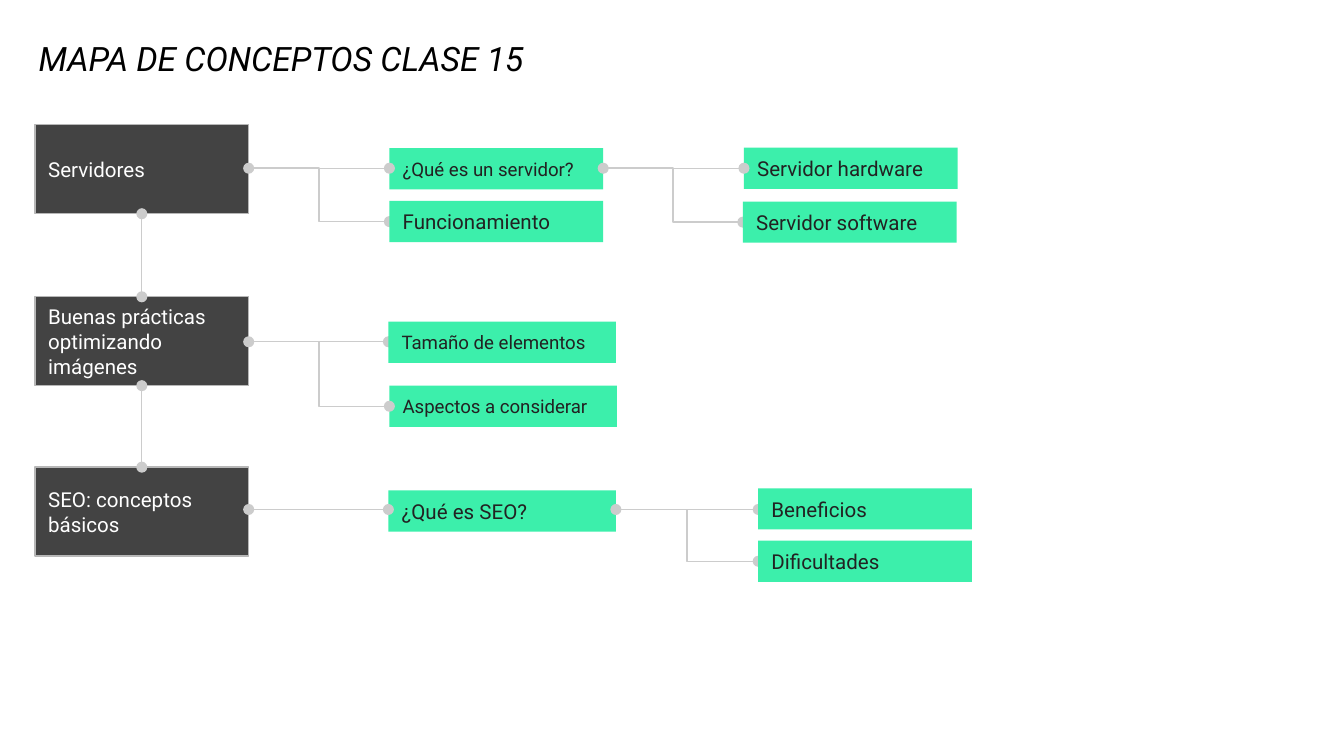
import pptx
import pptx.util
import pptx.dml.color
import pptx.enum.shapes
import pptx.enum.text
import pptx.oxml
import pptx.oxml.ns
from pptx.util import Cm

# Content
TITLE = "MAPA DE CONCEPTOS CLASE 15"
# Topics: text, top, height of the link axis (cm)
TOPICS = [
    ("Servidores", 2.36, 3.18),
    ("Buenas prácticas optimizando imágenes", 5.61, 6.46),
    ("SEO: conceptos básicos", 8.83, 9.63),
]
# Concepts: parent, text, left, top, width (cm), font size, covers its link end
CONCEPTS = [
    ("Servidores", "¿Qué es un servidor?", 7.36, 2.80, 4.04, 10, False),
    ("Servidores", "Funcionamiento", 7.36, 3.80, 4.04, 11, True),
    ("¿Qué es un servidor?", "Servidor hardware", 14.06, 2.79, 4.04, 11, False),
    ("¿Qué es un servidor?", "Servidor software", 14.04, 3.81, 4.04, 11, True),
    ("Buenas prácticas optimizando imágenes", "Tamaño de elementos", 7.34, 6.08, 4.30, 10, True),
    ("Buenas prácticas optimizando imágenes", "Aspectos a considerar", 7.36, 7.29, 4.30, 10, False),
    ("SEO: conceptos básicos", "¿Qué es SEO?", 7.34, 9.27, 4.30, 11, False),
    ("¿Qué es SEO?", "Beneficios", 14.33, 9.23, 4.04, 11, True),
    ("¿Qué es SEO?", "Dificultades", 14.33, 10.22, 4.04, 11, True),
]
FONT = "Roboto"
DARK, GREEN, BORDER, LINK = "434343", "3CEFAB", "B7B7B7", "CCCCCC"
TOPIC_LEFT, TOPIC_WIDTH, TOPIC_HEIGHT = 0.66, 4.04, 1.68
CONCEPT_HEIGHT = 0.78


def color(hex_value):
    return pptx.dml.color.RGBColor.from_string(hex_value)


def format_text(frame, text, size, text_color, anchor, italic=None):
    frame.text = text
    frame.word_wrap = True
    frame.auto_size = pptx.enum.text.MSO_AUTO_SIZE.NONE
    frame.vertical_anchor = anchor
    frame.margin_left = frame.margin_right = Cm(0.25)
    frame.margin_top = frame.margin_bottom = Cm(0.25)
    paragraph = frame.paragraphs[0]
    paragraph.alignment = pptx.enum.text.PP_ALIGN.LEFT
    paragraph.font.name = FONT
    paragraph.font.size = pptx.util.Pt(size)
    paragraph.font.italic = italic
    paragraph.font.color.rgb = color(text_color)


def add_box(text, left, top, width, height, fill, text_color, size, border=None):
    shape = slide.shapes.add_shape(
        pptx.enum.shapes.MSO_SHAPE.RECTANGLE, Cm(left), Cm(top), Cm(width), Cm(height))
    shape.shadow.inherit = False
    shape.fill.solid()
    shape.fill.fore_color.rgb = color(fill)
    if border:
        shape.line.color.rgb = color(border)
        shape.line.width = pptx.util.Pt(0.75)
    else:
        shape.line.fill.background()
    format_text(shape.text_frame, text, size, text_color, pptx.enum.text.MSO_ANCHOR.MIDDLE)


def add_link(start, end):
    """Straight link with a dot at both ends, or elbow with a dot at its end."""
    straight = start[0] == end[0] or start[1] == end[1]
    kinds = pptx.enum.shapes.MSO_CONNECTOR
    connector = slide.shapes.add_connector(
        kinds.STRAIGHT if straight else kinds.ELBOW, *[Cm(value) for value in start + end])
    connector.line.color.rgb = color(LINK)
    connector.line.width = pptx.util.Pt(0.75)
    line = connector.line._get_or_add_ln()
    for tag in ("a:headEnd", "a:tailEnd") if straight else ("a:tailEnd",):
        dot = pptx.oxml.parse_xml(f'<{tag} {pptx.oxml.ns.nsdecls("a")} type="oval"/>')
        line.append(dot)
    effects = pptx.oxml.parse_xml(f'<a:effectLst {pptx.oxml.ns.nsdecls("a")}/>')
    connector._element.spPr.append(effects)


presentation = pptx.Presentation()
presentation.slide_width, presentation.slide_height = Cm(25.4), Cm(14.29)
slide = presentation.slides.add_slide(presentation.slide_layouts[5])

# Title
title = slide.shapes.title
title.left, title.top, title.width, title.height = Cm(0.48), Cm(0.56), Cm(20.98), Cm(1.17)
format_text(title.text_frame, TITLE, 18, "000000", pptx.enum.text.MSO_ANCHOR.BOTTOM, italic=True)

# Topics, chained from top to bottom
exits = {}  # point on the right edge where the links of each box leave
center = TOPIC_LEFT + TOPIC_WIDTH / 2
for index, (text, top, axis) in enumerate(TOPICS):
    add_box(text, TOPIC_LEFT, top, TOPIC_WIDTH, TOPIC_HEIGHT, DARK, "FFFFFF", 11, BORDER)
    exits[text] = (TOPIC_LEFT + TOPIC_WIDTH, axis)
    if index:
        add_link((center, TOPICS[index - 1][1] + TOPIC_HEIGHT), (center, top))

# Concepts: the first child lies on its parent's axis, the others branch off
linked_parents = set()
for parent, text, left, top, width, size, covers_link in CONCEPTS:
    start = exits[parent]
    axis = top + CONCEPT_HEIGHT / 2 if parent in linked_parents else start[1]
    linked_parents.add(parent)
    exits[text] = (left + width, axis)
    if covers_link:
        add_link(start, (left, axis))
    add_box(text, left, top, width, CONCEPT_HEIGHT, GREEN, "222222", size)
    if not covers_link:
        add_link(start, (left, axis))

presentation.save("out.pptx")
